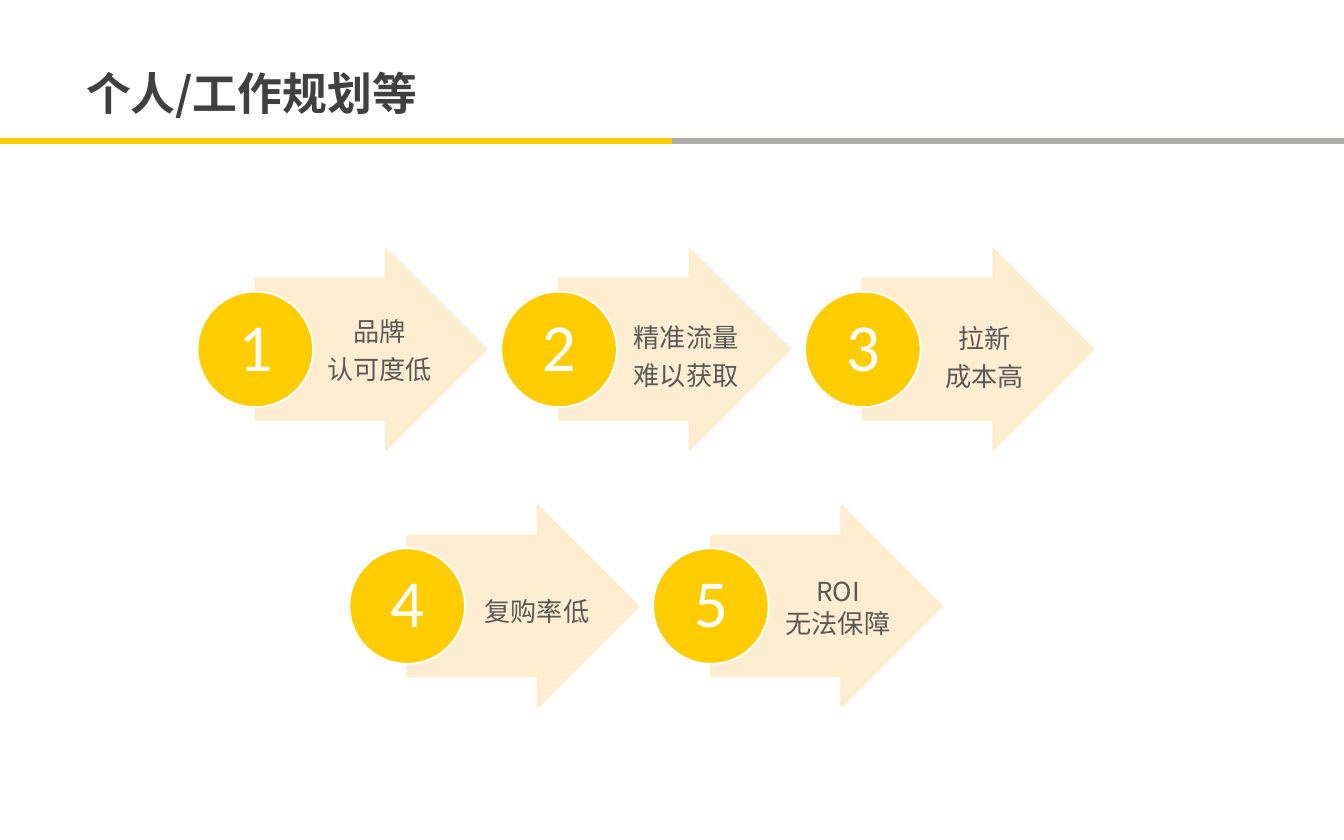
import pptx
import pptx.util
import pptx.dml.color
import pptx.enum.shapes
import pptx.enum.text
import pptx.oxml
import pptx.oxml.ns

Inches = pptx.util.Inches
Pt = pptx.util.Pt
Shape = pptx.enum.shapes.MSO_SHAPE
Anchor = pptx.enum.text.MSO_ANCHOR
Align = pptx.enum.text.PP_ALIGN
qn = pptx.oxml.ns.qn

WIDE, HIGH = 10, 6.25
HANZI, DIGIT = "Noto Sans CJK SC", "Calibri"
GOLD, CREAM, WHITE = "FFCC00", "FFECCC", "FFFFFF"
LEFT, STEP, DISC = 1.47, 2.26, 0.86
ARROW_W, ARROW_H = 1.72, 1.5

# Each row: first column, middle line, then steps as
# (lines of text, label left, label top, label width, line pitch, space after)
ROWS = [
    (0, 2.6, [
        (["品牌", "认可度低"], 2.33, 2.32, 0.99, 15.4, 4.9),
        (["精准流量", "难以获取"], 4.61, 2.29, 0.99, 20.5, 0),
        (["拉新", "成本高"], 6.93, 2.3, 0.79, 20.5, 0),
    ]),
    (0.5, 4.51, [
        (["复购率低"], 3.5, 4.33, 0.99, 20.5, 0),
        (["ROI", "无法保障"], 5.74, 4.23, 0.99, 17, 0),
    ]),
]


def color(code):
    return pptx.dml.color.RGBColor.from_string(code)


def place(shape, left, top, width, height):
    shape.left, shape.top = Inches(left), Inches(top)
    shape.width, shape.height = Inches(width), Inches(height)


def write(para, text, font, size, code, bold=False):
    run = para.add_run()
    run.text = text
    run.font.name = font
    run.font.size = Pt(size)
    run.font.bold = bold
    run.font.color.rgb = color(code)
    east = pptx.oxml.parse_xml(
        f'<a:ea {pptx.oxml.ns.nsdecls("a")} typeface="{HANZI}"/>')
    run.font.fill  # settles the fill before the typefaces
    run.font._element.find(qn("a:latin")).addnext(east)


def fade(shape, share):
    """Make fill and outline opaque only to the given share."""
    for tone in shape._element.spPr.iter(qn("a:srgbClr")):
        tone.append(pptx.oxml.parse_xml(
            f'<a:alpha {pptx.oxml.ns.nsdecls("a")} val="{share * 1000}"/>'))


def add_solid(slide, kind, box, fill, edge):
    shape = slide.shapes.add_shape(kind, *map(Inches, box))
    shape.shadow.inherit = False
    shape.fill.solid()
    shape.fill.fore_color.rgb = color(fill)
    shape.line.color.rgb = color(edge)
    shape.line.width = Pt(1)
    return shape


def add_rule(slide, start, end, code):
    line = slide.shapes.add_connector(
        pptx.enum.shapes.MSO_CONNECTOR.STRAIGHT,
        Inches(start), Inches(1.05), Inches(end), Inches(1.05))
    line.line.color.rgb = color(code)
    line.line.width = Pt(3)
    line._element.spPr.append(pptx.oxml.parse_xml(
        f'<a:effectLst {pptx.oxml.ns.nsdecls("a")}/>'))


def add_title(slide, text):
    title = slide.shapes.title
    place(title, 0.54, 0.47, 3.18, 0.59)
    frame = title.text_frame
    frame.word_wrap = True
    frame.vertical_anchor = Anchor.TOP
    frame.auto_size = pptx.enum.text.MSO_AUTO_SIZE.NONE
    para = frame.paragraphs[0]
    para.alignment = Align.LEFT
    para.line_spacing = Pt(26.4)
    write(para, text, HANZI, 24, "404040", True)


def add_step(slide, number, left, mid):
    """Draw an arrow with a numbered disc over its tail."""
    arrow = add_solid(
        slide, Shape.RIGHT_ARROW,
        (left + DISC / 2, mid - ARROW_H / 2, ARROW_W, ARROW_H), CREAM, CREAM)
    arrow.adjustments[0] = 0.7
    arrow.adjustments[1] = 0.5
    fade(arrow, 90)
    disc = add_solid(slide, Shape.OVAL,
                     (left, mid - DISC / 2, DISC, DISC), GOLD, WHITE)
    frame = disc.text_frame
    frame.margin_left = frame.margin_right = 0
    frame.margin_top = frame.margin_bottom = 0
    frame.vertical_anchor = Anchor.MIDDLE
    para = frame.paragraphs[0]
    para.alignment = Align.CENTER
    para.line_spacing = 0.9
    write(para, str(number), DIGIT, 36, WHITE)


def add_label(slide, lines, left, top, width, pitch, after):
    height = 0.1 + len(lines) * pitch / 72 + after / 72
    box = slide.shapes.add_textbox(*map(Inches, (left, top, width, height)))
    frame = box.text_frame
    frame.word_wrap = False
    for order, text in enumerate(lines):
        para = frame.add_paragraph() if order else frame.paragraphs[0]
        para.alignment = Align.CENTER
        para.line_spacing = Pt(pitch)
        para.space_after = Pt(after)
        write(para, text, HANZI, 14, "595959")


def main():
    deck = pptx.Presentation()
    deck.slide_width, deck.slide_height = Inches(WIDE), Inches(HIGH)
    slide = deck.slides.add_slide(deck.slide_layouts[5])
    add_rule(slide, 0, WIDE / 2, GOLD)
    add_rule(slide, WIDE / 2, WIDE, "AEABAB")
    add_title(slide, "个人/工作规划等")
    number = 0
    for first, mid, steps in ROWS:
        for col, label in enumerate(steps):
            number += 1
            add_step(slide, number, LEFT + (first + col) * STEP, mid)
            add_label(slide, *label)
    deck.save("out.pptx")


if __name__ == "__main__":
    main()
